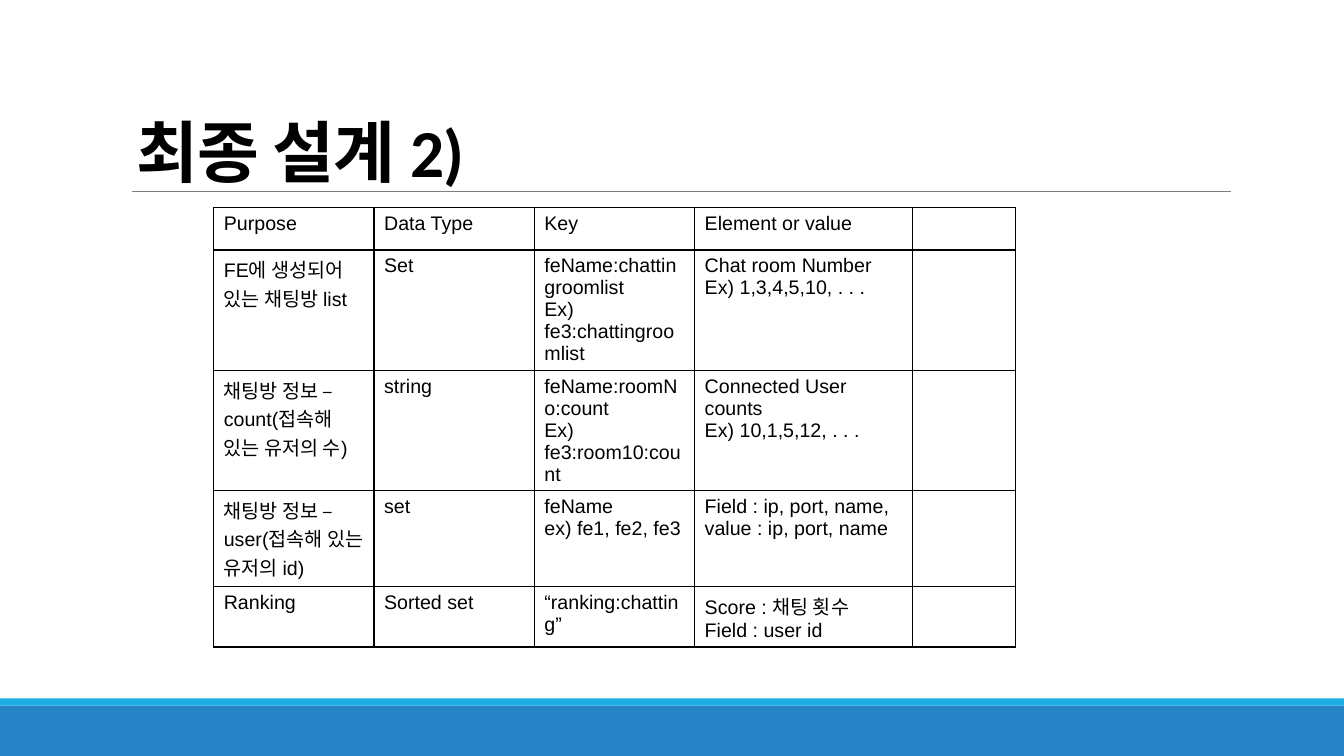
from lxml import etree
from pptx import Presentation
from pptx.dml.color import RGBColor
from pptx.enum.shapes import MSO_CONNECTOR, MSO_SHAPE
from pptx.enum.text import MSO_ANCHOR, PP_ALIGN
from pptx.oxml.ns import qn
from pptx.util import Inches, Pt

STRAIGHT = MSO_CONNECTOR.STRAIGHT
RECTANGLE = MSO_SHAPE.RECTANGLE
BOTTOM = MSO_ANCHOR.BOTTOM
LEFT = PP_ALIGN.LEFT
TITLE_ONLY_LAYOUT = 5

COLORS = {"text": "000000", "rule": "7F7F7F", "band": "2683C6", "stripe": "1CADE4"}

COLUMN_WIDTHS = [1.59, 1.59, 1.59, 2.16, 1.02]
ROW_HEIGHTS = [0.42, 1.19, 1.19, 0.95, 0.6]
# "\n" starts a new paragraph, "\v" a new line within one
ROWS = [
    ["Purpose", "Data Type", "Key", "Element or value ", ""],
    ["FE에 생성되어 있는 채팅방 list", "Set",
     "feName:chattingroomlist\nEx) fe3:chattingroomlist",
     "Chat room Number\nEx) 1,3,4,5,10, . . . ", ""],
    ["채팅방 정보 – count(접속해 있는 유저의 수)", "string",
     "feName:roomNo:count\nEx) fe3:room10:count",
     "Connected User counts \nEx) 10,1,5,12, . . .", ""],
    ["채팅방 정보 – user(접속해 있는 유저의 id)", "set",
     "feName\vex) fe1, fe2, fe3",
     "Field : ip, port, name,\vvalue : ip, port, name", ""],
    ["Ranking", "Sorted set", "“ranking:chatting”",
     "Score : 채팅 횟수 \vField : user id ", ""],
]


def write_text(text_frame, text, font_name, size, bold=False):
    """Fill a text frame with formatted runs."""
    for index, paragraph_text in enumerate(text.split("\n")):
        paragraph = text_frame.add_paragraph() if index else text_frame.paragraphs[0]
        paragraph.alignment = LEFT
        for line_index, line in enumerate(paragraph_text.split("\v")):
            if line_index:
                paragraph.add_line_break()
            run = paragraph.add_run()
            run.text = line
            run.font.name = font_name
            run.font.size = Pt(size)
            run.font.bold = bold
            run.font.color.rgb = RGBColor.from_string(COLORS["text"])


def add_borders(cell, color, width):
    """Draw a solid line on all four sides of a table cell."""
    properties = cell._tc.get_or_add_tcPr()
    for side in ("lnL", "lnR", "lnT", "lnB"):
        line = etree.SubElement(properties, qn(f"a:{side}"), w=str(Pt(width)))
        fill = etree.SubElement(line, qn("a:solidFill"))
        etree.SubElement(fill, qn("a:srgbClr"), val=color)


presentation = Presentation()
presentation.slide_width = Inches(13.33)
presentation.slide_height = Inches(7.5)
slide = presentation.slides.add_slide(presentation.slide_layouts[TITLE_ONLY_LAYOUT])

# Rule below the title
rule = slide.shapes.add_connector(
    STRAIGHT, Inches(1.31), Inches(1.9), Inches(12.21), Inches(1.9))
rule.line.color.rgb = RGBColor.from_string(COLORS["rule"])
rule.line.width = Pt(0.75)
etree.SubElement(rule._element.spPr, qn("a:effectLst"))

# Footer bands
for color, top, height in [("band", 7, 0.5), ("stripe", 6.93, 0.07)]:
    bar = slide.shapes.add_shape(
        RECTANGLE, 0, Inches(top), presentation.slide_width, Inches(height))
    bar.shadow.inherit = False
    bar.fill.solid()
    bar.fill.fore_color.rgb = RGBColor.from_string(COLORS[color])
    bar.line.fill.background()

# Title
title = slide.shapes.title
title.left, title.top = Inches(1.25), Inches(1.04)
title.width, title.height = Inches(9.07), Inches(0.91)
title.text_frame.vertical_anchor = BOTTOM
title.text_frame.word_wrap = True
write_text(title.text_frame, "최종 설계 2) ", "Calibri", 48, bold=True)
title_paragraph = title.text_frame.paragraphs[0]
title_paragraph.line_spacing = 0.85
title_paragraph.runs[0].font._element.set("spc", "-50")

# Table of storage keys
table = slide.shapes.add_table(
    len(ROWS), len(COLUMN_WIDTHS), Inches(2.12), Inches(2.06),
    Inches(sum(COLUMN_WIDTHS)), Inches(sum(ROW_HEIGHTS))).table
table.first_row = False
table.horz_banding = False
for column, width in zip(table.columns, COLUMN_WIDTHS):
    column.width = Inches(width)
for row, height, texts in zip(table.rows, ROW_HEIGHTS, ROWS):
    row.height = Inches(height)
    for cell, text in zip(row.cells, texts):
        add_borders(cell, COLORS["text"], 1)
        cell.fill.background()
        if text:
            write_text(cell.text_frame, text, "Arial", 14)

presentation.save("out.pptx")
